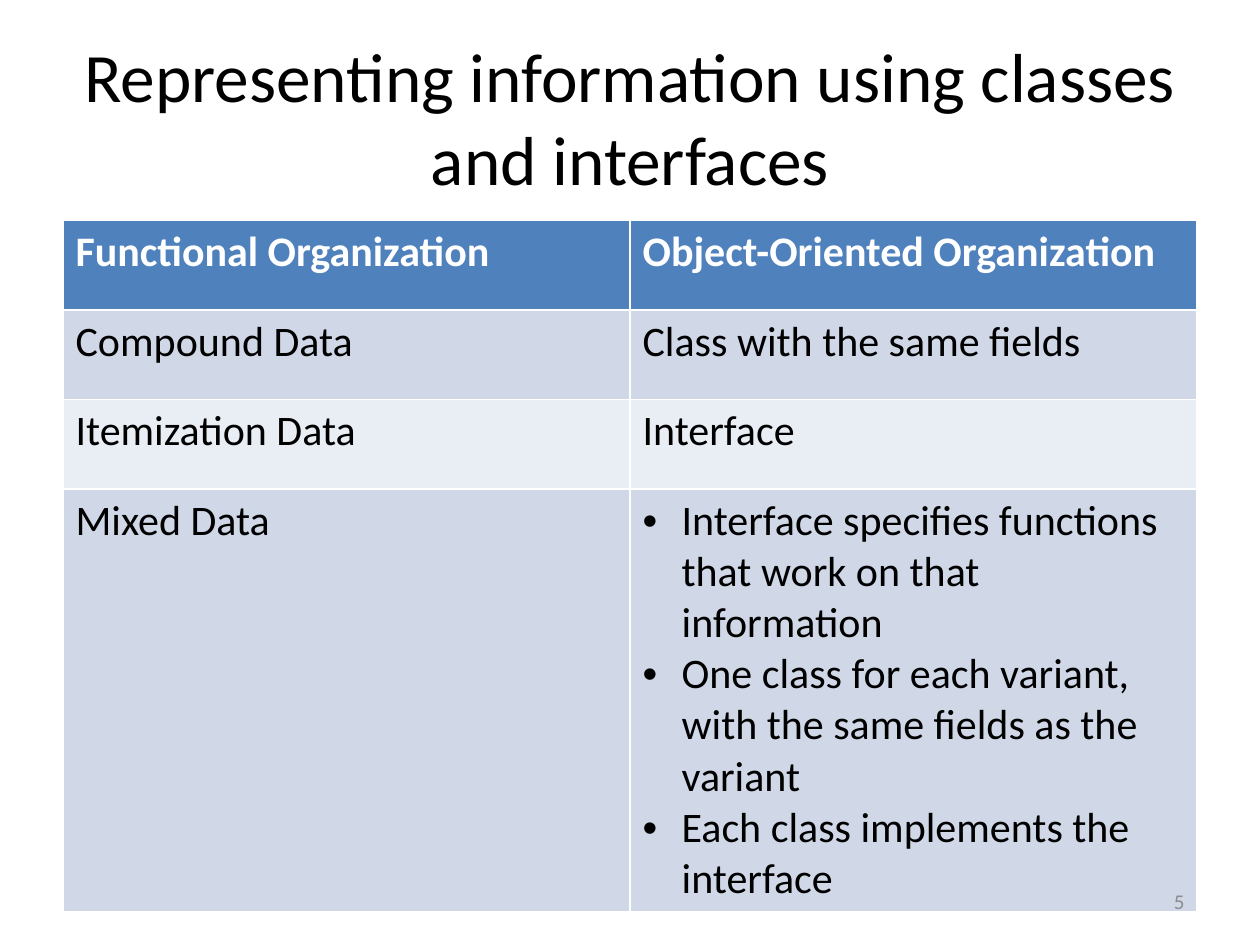
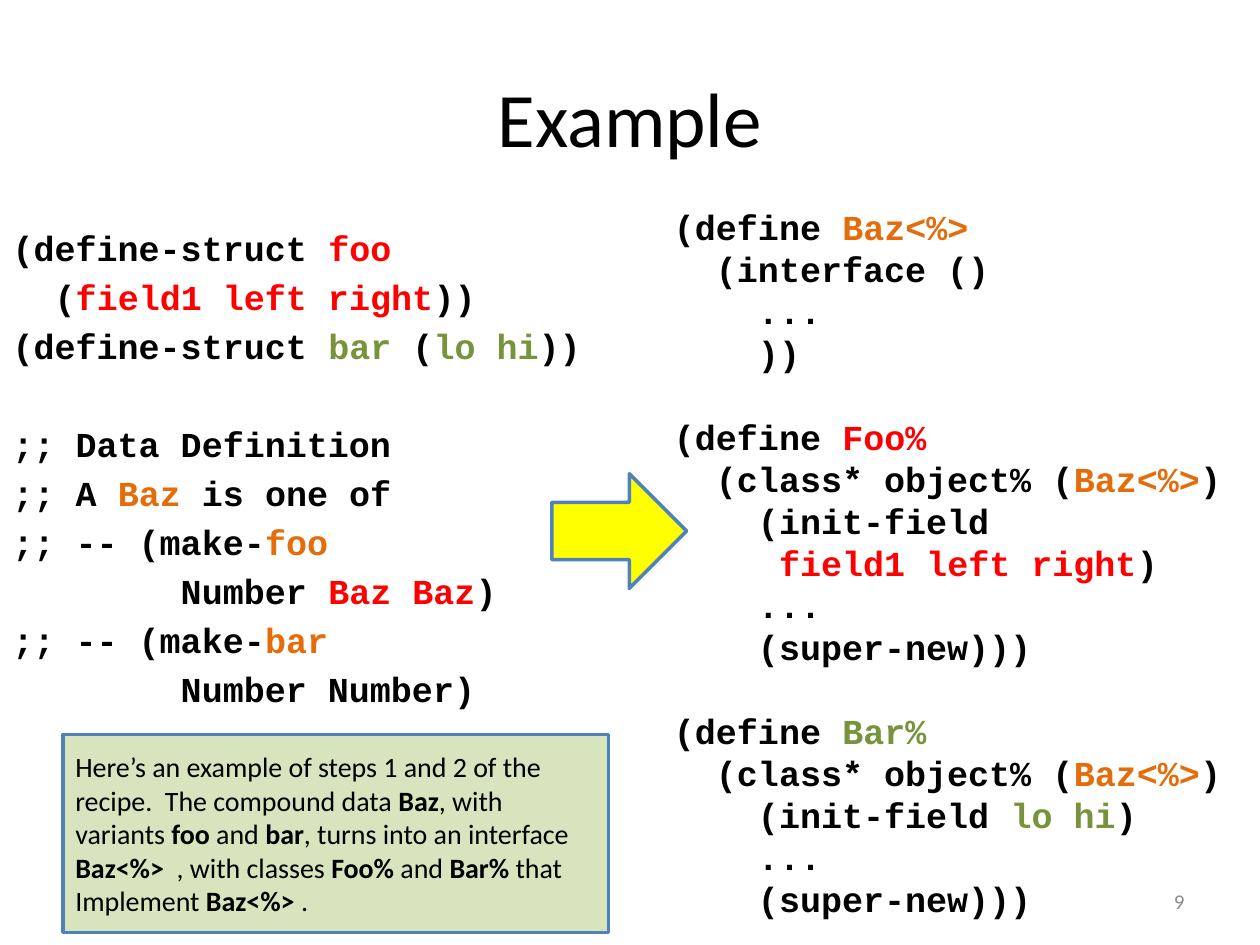
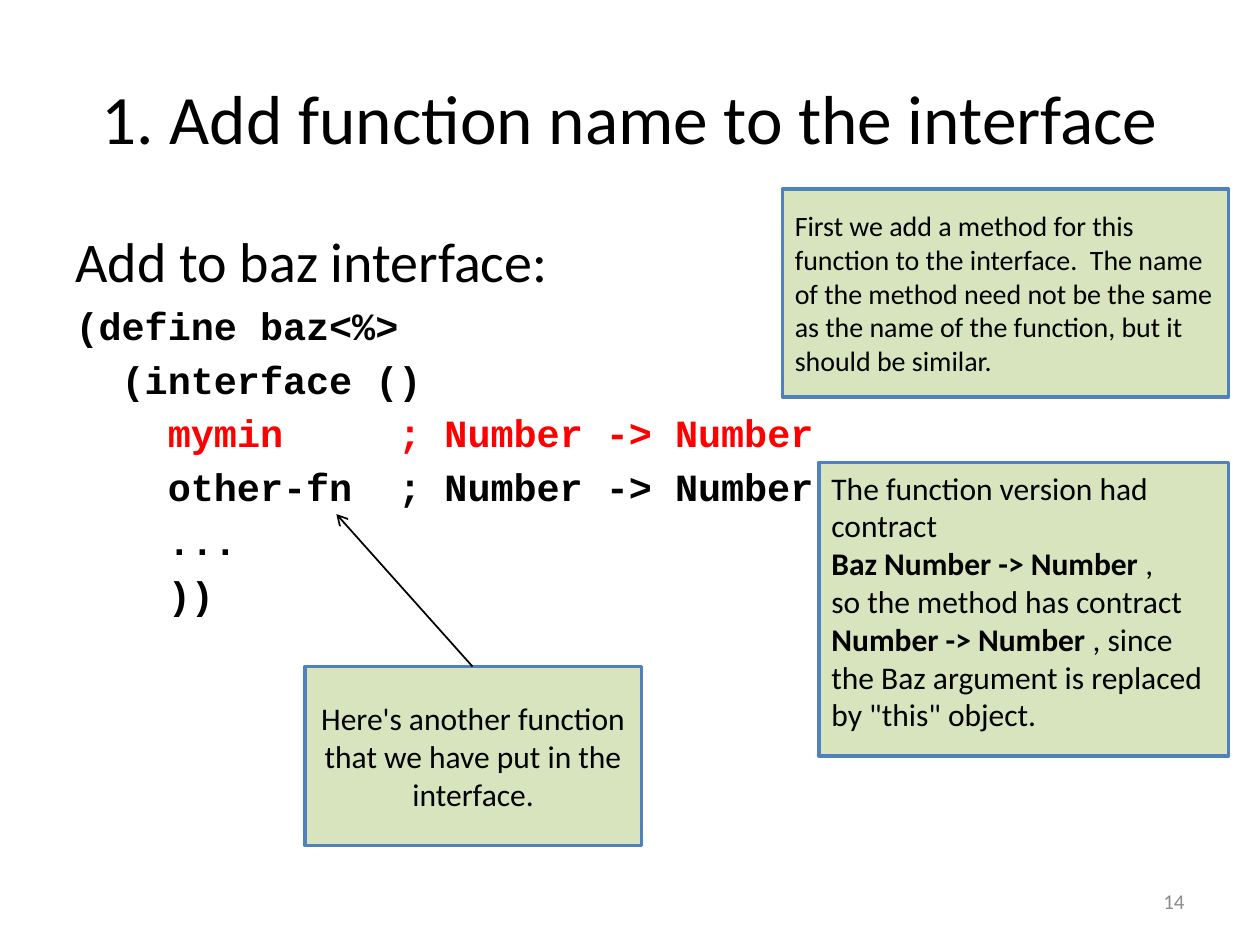
from dataclasses import dataclass
from typing import NamedTuple

from lxml import etree
from pptx import Presentation
from pptx import util as u
from pptx.dml.color import RGBColor
from pptx.enum import shapes, text
from pptx.oxml import ns

HUES = {
    "black": "000000", "white": "FFFFFF", "gray": "8C8C8C", "blue": "4F81BD",
    "band": "D0D8E8", "pale": "E9EDF4", "note": "D7E4BD", "yellow": "FFFF00",
    "red": "FF0000", "green": "77933C", "orange": "E46C0A",
}
LEFT, MID, RIGHT = text.PP_ALIGN.LEFT, text.PP_ALIGN.CENTER, text.PP_ALIGN.RIGHT
HANG = 0.38


class Run(NamedTuple):
    text: str
    hue: str = ""
    bold: bool = False


class Box(NamedTuple):
    left: float
    top: float
    width: float
    height: float

    def place(self) -> tuple:
        return tuple(u.Inches(side) for side in self)


@dataclass(frozen=True)
class Style:
    size: float
    face: str = "Calibri"
    hue: str = "black"
    bold: bool = False
    align: text.PP_ALIGN = LEFT
    space: float = 0      # points before each paragraph but the first
    hang: float = 0       # hanging indent in inches
    mark: str = ""        # bullet sign


@dataclass(frozen=True)
class Note:
    box: Box
    lines: list
    size: float
    align: text.PP_ALIGN = LEFT
    top: bool = False


BODY = Style(32, hang=HANG)
CODE = Style(20, "Courier New", bold=True)
LIST = Style(20, "Courier New", bold=True, space=4, hang=HANG)
FACE = Style(22, "Courier New", bold=True, space=4.4, hang=HANG)
CELL = Style(24)
HEAD = Style(24, hue="white", bold=True)
ITEM = Style(24, hang=0.31, mark="•")


def tint(name: str) -> RGBColor:
    return RGBColor.from_string(HUES[name])


def indent(par, style: Style) -> None:
    props = par._p.get_or_add_pPr()
    props.set("marL", str(u.Inches(style.hang)))
    props.set("indent", str(-u.Inches(style.hang)))
    if style.mark:
        etree.SubElement(props, ns.qn("a:buFont")).set("typeface", "Arial")
        etree.SubElement(props, ns.qn("a:buChar")).set("char", style.mark)
    else:
        etree.SubElement(props, ns.qn("a:buNone"))


def write(frame, lines: list, style: Style) -> None:
    """Append lines (a string or a tuple of parts); "" opens a one-line gap."""
    frame.word_wrap = True
    gap = 0
    for line in lines:
        if not line:
            gap = style.size * 1.2 + style.space
            continue
        first = not frame.text
        par = frame.paragraphs[0] if first else frame.add_paragraph()
        if style.hang:
            indent(par, style)
        par.alignment = style.align
        par.space_before = u.Pt(0 if first else style.space + gap)
        gap = 0
        font = par.font
        font.size, font.name, font.bold = u.Pt(style.size), style.face, style.bold
        font.color.rgb = tint(style.hue)
        for part in (line,) if isinstance(line, str) else line:
            run = par.add_run()
            if isinstance(part, str):
                run.text = part
                continue
            run.text = part.text
            if part.hue:
                run.font.color.rgb = tint(part.hue)
            if part.bold:
                run.font.bold = True


def add_text(slide, box: Box, lines: list, style: Style):
    frame = slide.shapes.add_textbox(*box.place()).text_frame
    write(frame, lines, style)
    return frame


def add_slide(deck, layout: int, title: str, size: float):
    slide = deck.slides.add_slide(deck.slide_layouts[layout])
    head = slide.shapes.title
    head.left, head.top, head.width, head.height = Box(0.5, 0.3, 9, 1.25).place()
    frame = head.text_frame
    frame.auto_size = text.MSO_AUTO_SIZE.NONE
    frame.vertical_anchor = text.MSO_ANCHOR.MIDDLE
    write(frame, [title], Style(size, align=MID))
    return slide


def add_page(slide, page: int) -> None:
    frame = add_text(slide, Box(7.17, 6.95, 2.33, 0.4), [str(page)],
                     Style(12, hue="gray", align=RIGHT))
    frame.vertical_anchor = text.MSO_ANCHOR.MIDDLE


def get_body(slide, box: Box):
    body = slide.placeholders[1]
    body.left, body.top, body.width, body.height = box.place()
    body.text_frame.auto_size = text.MSO_AUTO_SIZE.NONE
    return body.text_frame


def add_shape(slide, kind, box: Box, fill: str):
    shape = slide.shapes.add_shape(kind, *box.place())
    shape.shadow.inherit = False
    shape.fill.solid()
    shape.fill.fore_color.rgb = tint(fill)
    shape.line.color.rgb = tint("blue")
    shape.line.width = u.Pt(2)
    return shape


def add_note(slide, note: Note) -> None:
    frame = add_shape(slide, shapes.MSO_SHAPE.RECTANGLE, note.box, "note").text_frame
    anchor = text.MSO_ANCHOR
    frame.vertical_anchor = anchor.TOP if note.top else anchor.MIDDLE
    write(frame, note.lines, Style(note.size, align=note.align))


def add_arrow(slide, start: tuple, end: tuple) -> None:
    ends = [u.Inches(n) for n in start + end]
    line = slide.shapes.add_connector(shapes.MSO_CONNECTOR.STRAIGHT, *ends)
    line.line.color.rgb = tint("black")
    line.line.width = u.Pt(1)
    tail = etree.SubElement(line.line._get_or_add_ln(), ns.qn("a:tailEnd"))
    tail.set("type", "arrow")
    etree.SubElement(line._element.spPr, ns.qn("a:effectLst"))


def add_table(slide, box: Box, rows: list, heights: list) -> None:
    table = slide.shapes.add_table(len(rows), len(rows[0]), *box.place()).table
    for r, (row, height) in enumerate(zip(rows, heights)):
        table.rows[r].height = u.Inches(height)
        fill = "blue" if r == 0 else ("pale", "band")[r % 2]
        for c, lines in enumerate(row):
            cell = table.cell(r, c)
            cell.fill.solid()
            cell.fill.fore_color.rgb = tint(fill)
            style = HEAD if r == 0 else ITEM if len(lines) > 1 else CELL
            write(cell.text_frame, lines, style)


def build_forms(deck) -> None:
    slide = add_slide(deck, 5, "Representing information using classes and interfaces", 39.6)
    rows = [
        (["Functional Organization"], ["Object-Oriented Organization"]),
        (["Compound Data"], ["Class with the same fields"]),
        (["Itemization Data"], ["Interface"]),
        (["Mixed Data"], [
            "Interface specifies functions that work on that information",
            "One class for each variant, with the same fields as the variant",
            "Each class implements the interface",
        ]),
    ]
    add_table(slide, Box(0.5, 1.75, 9, 5.43), rows, [0.71] * 3 + [3.3])
    add_page(slide, 5)


def build_sample(deck) -> None:
    slide = add_slide(deck, 1, "Example", 44)
    fields = Run("field1 left right", "red")
    bounds = Run("lo hi", "green")
    face = Run("Baz<%>", "orange")
    start = ("  (class* object% (", face, ")")
    close = ["    ...", "    (super-new)))"]
    write(get_body(slide, Box(0, 1.75, 4.92, 4.25)), [
        ("(define-struct ", Run("foo", "red")),
        ("  (", fields, "))"),
        ("(define-struct ", Run("bar", "green"), " (", bounds, "))"),
        "",
        ";; Data Definition",
        (";; A ", Run("Baz", "orange"), " is one of"),
        (";; -- (make-", Run("foo", "orange")),
        ("        Number ", Run("Baz Baz", "red"), ")"),
        (";; -- (make-", Run("bar", "orange")),
        "        Number Number)",
    ], LIST)
    add_text(slide, Box(5.25, 1.58, 4.75, 5.82), [
        ("(define ", face),
        "  (interface ()",
        "    ...",
        "    ))",
        "",
        ("(define ", Run("Foo%", "red")),
        start,
        "    (init-field",
        ("     ", fields, ")"),
        *close,
        "",
        ("(define ", Run("Bar%", "green")),
        start,
        ("    (init-field ", bounds, ")"),
        *close,
    ], CODE)
    add_note(slide, Note(Box(0.5, 5.83, 4.33, 1.57), [(
        "Here’s an example of steps 1 and 2 of the recipe.  The compound data ",
        Run("Baz", bold=True), ", with variants ", Run("foo", bold=True), " and ",
        Run("bar", bold=True), ", turns into an interface ",
        Run("Baz<%>  ", bold=True), ", with classes ", Run("Foo% ", bold=True),
        "and ", Run("Bar% ", bold=True), "that Implement ",
        Run("Baz<%> ", bold=True), ".",
    )], 16))
    add_shape(slide, shapes.MSO_SHAPE.RIGHT_ARROW, Box(4.38, 3.76, 1.07, 0.91), "yellow")
    add_page(slide, 9)


def build_step(deck) -> None:
    slide = add_slide(deck, 1, "1. Add function name to the interface", 39.6)
    frame = get_body(slide, Box(0.5, 1.75, 9, 4.95))
    write(frame, ["Add to baz interface:"], BODY)
    write(frame, [
        "(define baz<%>",
        "  (interface ()",
        ("    ", Run("mymin     ; Number -> Number", "red")),
        "    other-fn  ; Number -> Number",
        "    ...",
        "    ))",
    ], FACE)
    notes = [
        Note(Box(6.21, 1.5, 3.54, 1.65), [
            "First we add a method for this function to the interface.  The name "
            "of the method need not be the same as the name of the function, but "
            "it should be similar.",
        ], 16),
        Note(Box(6.5, 3.67, 3.25, 2.33), [
            "The function version had contract",
            (Run("Baz Number -> Number ", bold=True), ","),
            "so the method has contract",
            (Run("Number -> Number ", bold=True),
             ", since the Baz argument is replaced by \"this\" object."),
        ], 18, top=True),
        Note(Box(2.42, 5.29, 2.67, 1.42), [
            "Here's another function that we have put in the interface.",
        ], 18, MID),
    ]
    for note in notes:
        add_note(slide, note)
    add_arrow(slide, (3.75, 5.29), (2.67, 4.08))
    add_page(slide, 14)


def main() -> None:
    deck = Presentation()
    deck.slide_width, deck.slide_height = u.Inches(10), u.Inches(7.5)
    build_forms(deck)
    build_sample(deck)
    build_step(deck)
    deck.save("out.pptx")


if __name__ == "__main__":
    main()
